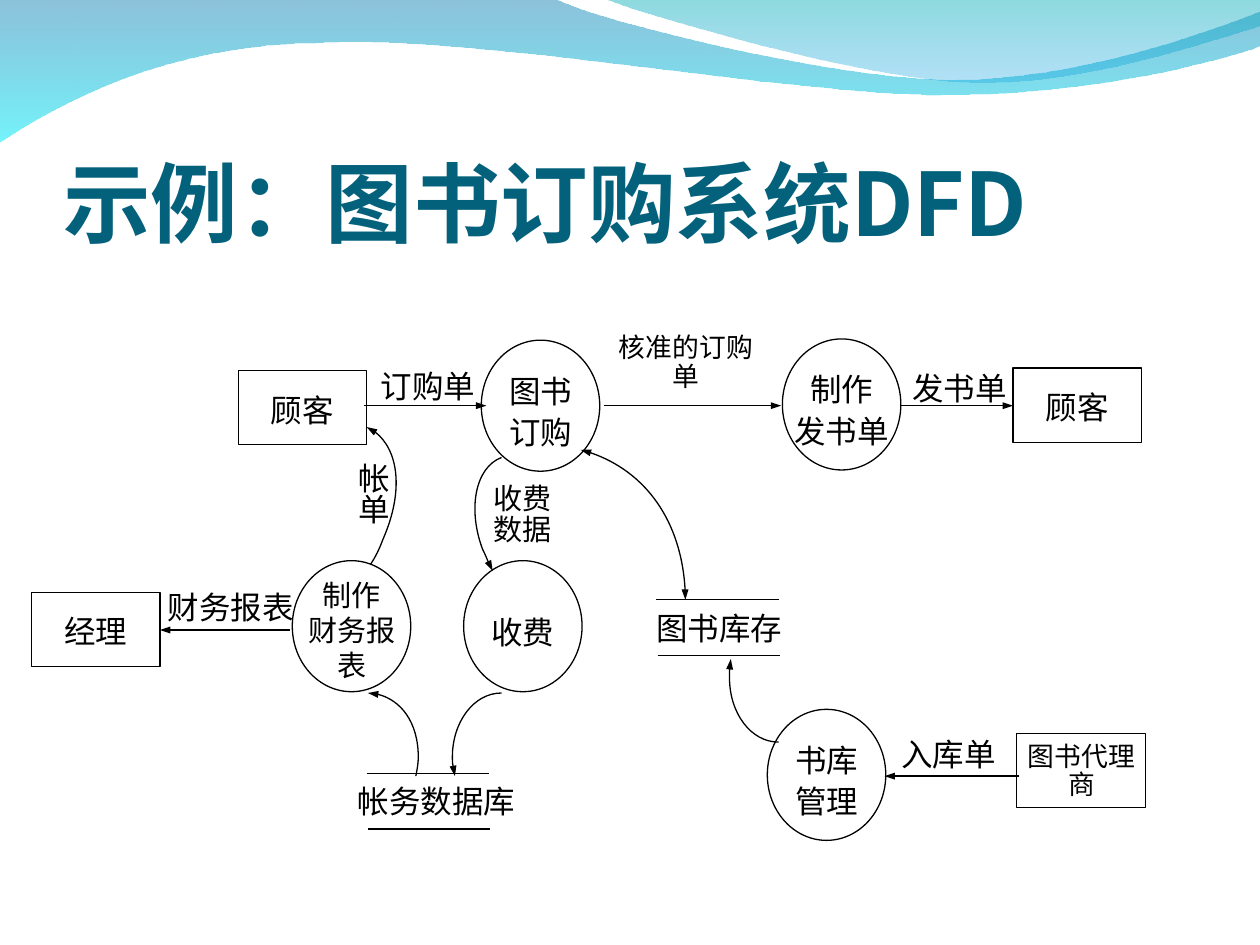
from math import cos, radians, sin

from lxml import etree
from pptx import Presentation
from pptx.dml.color import RGBColor
from pptx.enum.shapes import MSO_CONNECTOR, MSO_SHAPE
from pptx.enum.text import MSO_ANCHOR, MSO_AUTO_SIZE, PP_ALIGN
from pptx.oxml.ns import qn
from pptx.util import Inches, Pt

BLACK = "000000"
NODE_FONT = "Times New Roman"
TITLE_FONT = "Noto Sans CJK SC"


def colour(hex_string):
    return RGBColor.from_string(hex_string)


def place(shape, box):
    shape.left, shape.top, shape.width, shape.height = (Inches(value) for value in box)


def style_line(shape, head=False, tail=False):
    """Thin black line; head is the arrow at its start, tail at its end."""
    shape.line.color.rgb = colour(BLACK)
    shape.line.width = Pt(0.75)
    line = shape.line._get_or_add_ln()
    for tag, wanted in (("a:headEnd", head), ("a:tailEnd", tail)):
        if wanted:
            etree.SubElement(line, qn(tag), type="triangle", w="sm", len="med")


def add_line(slide, start, end, **arrows):
    ends = [Inches(value) for value in (*start, *end)]
    connector = slide.shapes.add_connector(MSO_CONNECTOR.STRAIGHT, *ends)
    style_line(connector, **arrows)
    etree.SubElement(connector._element.spPr, qn("a:effectLst"))


def local_point(point, box, rotation):
    """Turn a slide point into the unrotated frame of the box."""
    left, top, width, height = box
    dx, dy = point[0] - left - width / 2, point[1] - top - height / 2
    angle = radians(rotation)
    return (Inches(width / 2 + dx * cos(angle) + dy * sin(angle)),
            Inches(height / 2 - dx * sin(angle) + dy * cos(angle)))


def add_outline(slide, box, start, segments, rotation=0, close=False):
    """Outline of straight (1 point) and cubic (3 point) segments."""
    builder = slide.shapes.build_freeform(0, 0)
    builder.add_line_segments([(Inches(1), Inches(1))], close=close)
    shape = builder.convert_to_shape()
    place(shape, box)
    shape.rotation = rotation
    shape.shadow.inherit = False
    path = next(shape._element.spPr.iter(qn("a:path")))
    path.set("w", str(shape.width))
    path.set("h", str(shape.height))
    for child in list(path):
        path.remove(child)
    for index, points in enumerate([[start], *segments]):
        tag = "a:moveTo" if index == 0 else "a:lnTo" if len(points) == 1 else "a:cubicBezTo"
        command = etree.SubElement(path, qn(tag))
        for point in points:
            x, y = local_point(point, box, rotation)
            etree.SubElement(command, qn("a:pt"), x=str(x), y=str(y))
    if close:
        etree.SubElement(path, qn("a:close"))
    return shape


def add_curve(slide, box, rotation, start, segments, **arrows):
    curve = add_outline(slide, box, start, segments, rotation)
    curve.fill.background()
    style_line(curve, **arrows)


def add_wave(slide, box, start, segments, stops):
    wave = add_outline(slide, box, start, segments, close=True)
    wave.line.fill.background()
    wave.fill.gradient()
    wave.fill.gradient_angle = 270
    for stop, (hex_string, _) in zip(wave.fill.gradient_stops, stops):
        stop.color.rgb = colour(hex_string)
    for element, (_, opacity) in zip(wave._element.spPr.iter(qn("a:srgbClr")), stops):
        etree.SubElement(element, qn("a:alpha"), val=str(opacity * 1000))


def write(shape, text, size=18, spacing=1.1):
    frame = shape.text_frame
    frame.word_wrap = True
    frame.vertical_anchor = MSO_ANCHOR.MIDDLE
    frame.text = text
    for para in frame.paragraphs:
        para.alignment = PP_ALIGN.CENTER
        para.line_spacing = spacing
        for span in para.runs:
            span.font.name = NODE_FONT
            span.font.size = Pt(size)
            span.font.color.rgb = colour(BLACK)


def add_label(slide, box, text, size=18, spacing=1.1):
    label = slide.shapes.add_textbox(*(Inches(value) for value in box))
    write(label, text, size, spacing)
    return label


def add_vertical_label(slide, box, text):
    frame = add_label(slide, box, text).text_frame
    frame.margin_left = frame.margin_right = Inches(0.05)
    frame.margin_top = frame.margin_bottom = Inches(0.1)
    frame._txBody.bodyPr.set("vert", "eaVert")


def add_node(slide, preset, box):
    node = slide.shapes.add_shape(preset, *(Inches(value) for value in box))
    node.shadow.inherit = False
    node.fill.background()
    style_line(node)
    return node


def add_entity(slide, left, top, text=""):
    node = add_node(slide, MSO_SHAPE.RECTANGLE, (left, top, 1.02, 0.59))
    if text:
        write(node, text)


def add_process(slide, left, top, text, size=18, spacing=1.1):
    add_node(slide, MSO_SHAPE.OVAL, (left, top, 0.94, 1.04))
    add_label(slide, (left - 0.07, top + 0.07, 1.08, 0.96), text, size, spacing)


def add_store(slide, left, top, text, text_left, text_width):
    """Data store: a name between two parallel lines."""
    for x, y in ((left, top), (left + 0.01, top + 0.44)):
        add_line(slide, (x, y), (x + 0.97, y))
    add_label(slide, (text_left, top - 0.07, text_width, 0.55), text)


def draw_waves(slide):
    add_wave(slide, (-0.01, -0.01, 10.02, 1.14), (0, -0.01), [
        [(4.4, -0.01)],
        [(4.76, 0.17), (6.64, 0.63), (7.58, 0.63)],
        [(8.53, 0.63), (9.58, 0.26), (10, 0.09)],
        [(10.01, 0.36)],
        [(9.83, 0.44), (8.7, 0.76), (7.46, 0.75)],
        [(6.22, 0.75), (3.82, 0.28), (2.57, 0.34)],
        [(1.29, 0.35), (0.46, 0.83), (-0.01, 1.13)],
        [(0, -0.01)],
    ], [("0079AF", 45), ("00EBF8", 55)])
    add_wave(slide, (4.79, -0.01, 5.21, 0.7), (4.79, -0.01), [
        [(5.09, 0.11), (6.82, 0.62), (7.69, 0.65)],
        [(8.56, 0.69), (9.61, 0.32), (10, 0.21)],
        [(10, 0)],
        [(4.79, -0.01)],
    ], [("00ADB6", 45), ("009BE5", 30)])


def draw_title(slide, box, text):
    title = slide.shapes.title
    place(title, box)
    frame = title.text_frame
    frame.text = text
    frame.auto_size = MSO_AUTO_SIZE.NONE
    frame.vertical_anchor = MSO_ANCHOR.BOTTOM
    frame.margin_left = frame.margin_right = frame.margin_bottom = 0
    frame.margin_top = Inches(0.05)
    para = frame.paragraphs[0]
    para.alignment = PP_ALIGN.LEFT
    font = para.runs[0].font
    font.name, font.size, font.bold = TITLE_FONT, Pt(50), True
    font.color.rgb = colour("04617B")
    etree.SubElement(font._element, qn("a:ea"), typeface=TITLE_FONT)
    slide.shapes._spTree.append(title._element)  # in front of the waves


def draw_diagram(slide):
    # Data stores
    add_store(slide, 5.21, 4.76, "图书库存", 5.03, 1.36)
    add_store(slide, 2.91, 6.14, "帐务数据库", 2.58, 1.77)
    # External entities
    for left, top, text in ((0.25, 4.7, "经理"), (8.04, 2.92, "顾客"),
                            (1.89, 2.94, "顾客"), (8.07, 5.82, "")):
        add_entity(slide, left, top, text)
    # Processes
    add_process(slide, 6.09, 5.63, "书库\n管理")
    add_process(slide, 3.68, 4.45, "收费")
    add_process(slide, 2.32, 4.45, "制作\n财务报表", 16.6, 1.0)
    add_process(slide, 6.21, 2.69, "制作\n发书单")
    add_process(slide, 3.82, 2.7, "图书\n订购")
    # Straight flows: the two leftward ones point at their start
    for start, end, y in ((7.02, 8.09, 6.16), (1.27, 2.3, 5)):
        add_line(slide, (start, y), (end, y), head=True)
    for start, end in ((4.79, 6.2), (7.14, 8.04), (2.89, 3.86)):
        add_line(slide, (start, 3.22), (end, 3.22), tail=True)
    # Curved flows
    add_curve(slide, (5.65, 5.36, 0.66, 0.39), 270, (5.8, 5.23), [
        [(5.79, 5.28), (5.79, 5.33), (5.79, 5.38)],
        [(5.79, 5.66), (5.96, 5.89), (6.18, 5.89)]], head=True)
    add_curve(slide, (2.79, 5.64, 0.66, 0.39), 90, (3.3, 6.16), [
        [(3.31, 6.11), (3.32, 6.06), (3.32, 6.01)],
        [(3.32, 5.73), (3.14, 5.5), (2.92, 5.5)]], tail=True)
    add_curve(slide, (3.46, 5.64, 0.66, 0.39), 90, (3.61, 6.16), [
        [(3.6, 6.11), (3.59, 6.06), (3.59, 6.01)],
        [(3.59, 5.73), (3.76, 5.5), (3.98, 5.5)]], head=True)
    add_curve(slide, (4.41, 3.57, 1.03, 1.19), 0, (4.61, 3.57), [
        [(5.09, 3.69), (5.44, 4.18), (5.44, 4.76)]], head=True, tail=True)
    add_curve(slide, (3.53, 3.89, 0.82, 0.39), 69.3, (3.91, 4.53), [
        [(3.88, 4.48), (3.86, 4.42), (3.83, 4.36)],
        [(3.71, 4.04), (3.77, 3.71), (3.98, 3.63)]], head=True)
    add_curve(slide, (2.43, 3.7, 1, 0.47), 112.9, (2.94, 4.48), [
        [(2.98, 4.42), (3.01, 4.36), (3.04, 4.28)],
        [(3.21, 3.89), (3.15, 3.49), (2.91, 3.39)]], tail=True)
    # Flow names, and the agent's name, which is wider than its box
    for box, text, *style in (
            ((7, 5.68, 1.06, 0.57), "入库单"),
            ((7.97, 5.83, 1.23, 0.59), "图书代理商", 15.3, 0.9),
            ((1.16, 4.52, 1.34, 0.57), "财务报表"),
            ((4.77, 2.6, 1.35, 0.57), "核准的订购单", 15.3, 0.9),
            ((7.04, 2.78, 1.15, 0.57), "发书单"),
            ((2.85, 2.76, 1.09, 0.57), "订购单"),
            ((3.75, 3.77, 0.79, 0.64), "收费数据", 16.6, 0.9)):
        add_label(slide, box, text, *style)
    add_vertical_label(slide, (2.71, 3.57, 0.53, 0.75), "帐单")


def main():
    deck = Presentation()
    deck.slide_width, deck.slide_height = Inches(10), Inches(7.5)
    slide = deck.slides.add_slide(deck.slide_layouts[5])
    draw_waves(slide)
    draw_title(slide, (0.5, 0.77, 9, 1.25), "示例：图书订购系统DFD")
    draw_diagram(slide)
    deck.save("out.pptx")


if __name__ == "__main__":
    main()
